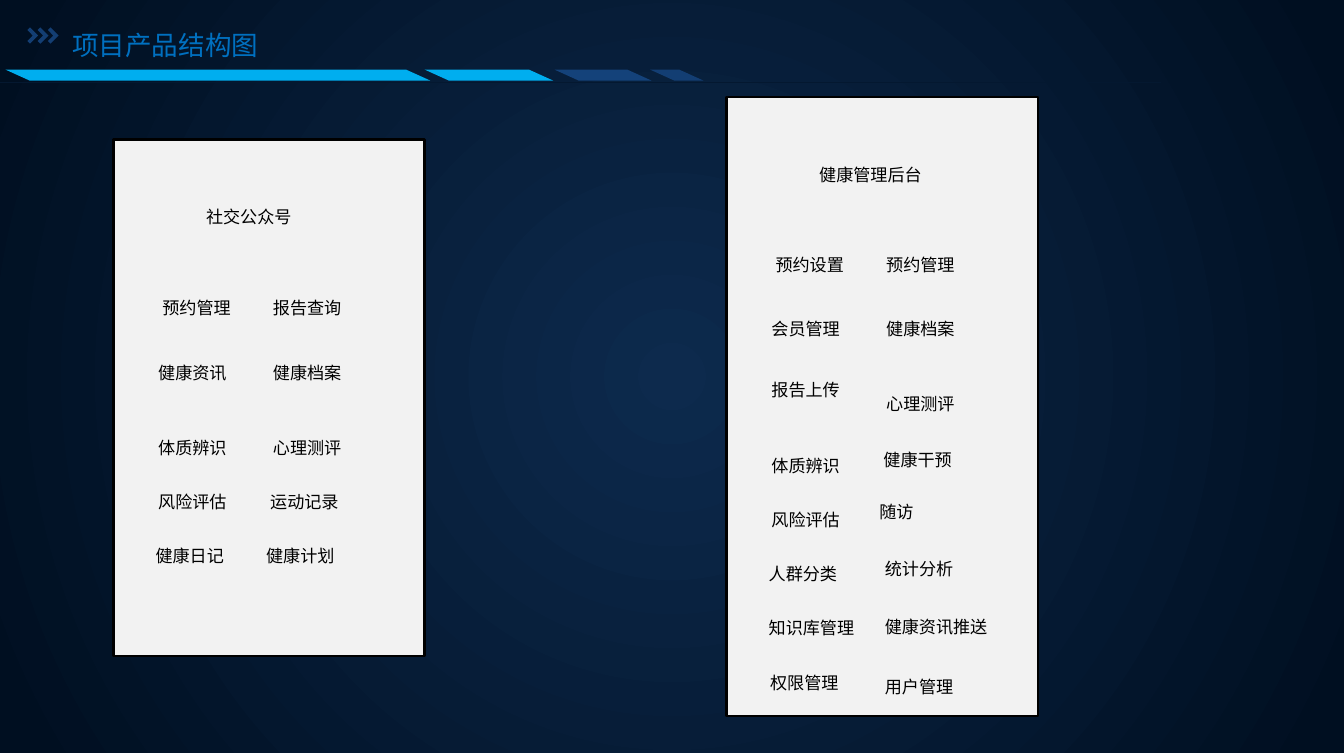
from lxml.etree import SubElement
from pptx import Presentation
from pptx.dml.color import RGBColor
from pptx.enum.shapes import MSO_CONNECTOR, MSO_SHAPE
from pptx.oxml.ns import qn
from pptx.util import Inches, Pt

RECT, SLANT = MSO_SHAPE.RECTANGLE, MSO_SHAPE.PARALLELOGRAM
LINE = MSO_CONNECTOR.STRAIGHT
CORE, EDGE = RGBColor(0x0D, 0x2A, 0x4D), RGBColor(0x00, 0x0F, 0x21)
CYAN, BLUE = RGBColor(0x00, 0xAE, 0xEF), RGBColor(0x00, 0x70, 0xC0)
NAVY, DARK = RGBColor(0x14, 0x42, 0x7A), RGBColor(0x13, 0x3E, 0x73)
RULE, GRAY = RGBColor(0x04, 0x18, 0x30), RGBColor(0xF2, 0xF2, 0xF2)
BLACK = RGBColor(0, 0, 0)

WIDE, HIGH = 9.84, 5.51
FONT = "Calibri"
TITLE = "项目产品结构图"
BARS = [(0.04, 3.11, CYAN), (3.11, 0.94, CYAN), (4.06, 0.71, NAVY), (4.76, 0.39, DARK)]
ARROW = [(0, 0.02), (0.02, 0), (0.08, 0.06), (0.02, 0.12), (0, 0.1), (0.04, 0.06)]
HEAD = (0.58, 0.44)
PANELS = [
    {"name": "社交公众号", "box": (0.83, 1.02, 2.28, 3.78), "items": [
        ("预约管理", 0.26, 1.11), ("报告查询", 1.07, 1.11),
        ("健康资讯", 0.23, 1.58), ("健康档案", 1.07, 1.58),
        ("体质辨识", 0.23, 2.13), ("心理测评", 1.07, 2.13),
        ("风险评估", 0.23, 2.53), ("运动记录", 1.05, 2.53),
        ("健康日记", 0.21, 2.92), ("健康计划", 1.02, 2.92)]},
    {"name": "健康管理后台", "box": (5.32, 0.71, 2.28, 4.53), "items": [
        ("预约设置", 0.26, 1.1), ("预约管理", 1.07, 1.1),
        ("会员管理", 0.23, 1.57), ("健康档案", 1.07, 1.57),
        ("报告上传", 0.23, 2.02), ("心理测评", 1.07, 2.12),
        ("体质辨识", 0.23, 2.57), ("健康干预", 1.05, 2.53),
        ("风险评估", 0.23, 2.97), ("随访", 1.02, 2.91),
        ("人群分类", 0.21, 3.36), ("统计分析", 1.06, 3.33),
        ("知识库管理", 0.21, 3.76), ("健康资讯推送", 1.06, 3.75),
        ("权限管理", 0.22, 4.16), ("用户管理", 1.06, 4.19)]},
]


def paint(shape, fill, edge=None):
    shape.shadow.inherit = False
    shape.fill.solid()
    shape.fill.fore_color.rgb = fill
    if edge is None:
        shape.line.fill.background()
    else:
        shape.line.color.rgb = edge
        shape.line.width = Pt(1.5)


def write(slide, text, box, size, color):
    frame = slide.shapes.add_textbox(*map(Inches, box)).text_frame
    frame.word_wrap = True
    frame.text = text
    font = frame.paragraphs[0].runs[0].font
    font.name, font.size, font.color.rgb = FONT, Pt(size), color


def backdrop(slide):
    fill = slide.background.fill
    fill.gradient()
    for stop, color, place in zip(fill.gradient_stops, (CORE, EDGE), (0, 0.97)):
        stop.color.rgb, stop.position = color, place
    grad = slide.element.find(".//" + qn("a:gradFill"))
    grad.remove(grad.find(qn("a:lin")))
    ring = SubElement(grad, qn("a:path"), path="circle")
    SubElement(ring, qn("a:fillToRect"), {side: "50000" for side in "ltrb"})


def header(slide):
    for left, width, color in BARS:
        bar = slide.shapes.add_shape(SLANT, *map(Inches, (left, 0.51, width, 0.08)))
        bar.adjustments[0] = 2.208
        bar.element.spPr.find(qn("a:xfrm")).set("flipV", "1")
        paint(bar, color)
    rule = slide.shapes.add_connector(LINE, *map(Inches, (0, 0.6, 8.5, 0.6)))
    rule.line.color.rgb, rule.line.width = RULE, Pt(0.5)
    SubElement(rule.element.spPr, qn("a:effectLst"))
    write(slide, TITLE, (0.43, 0.16, 1.97, 0.54), 14, BLUE)
    group = slide.shapes.add_group_shape()
    for step in range(3):
        dots = [(Inches(0.2 + 0.075 * step + x), Inches(0.2 + y)) for x, y in ARROW]
        pen = group.shapes.build_freeform(*dots[0])
        pen.add_line_segments(dots[1:], close=True)
        paint(pen.convert_to_shape(), DARK)


def panel(slide, name, box, items):
    paint(slide.shapes.add_shape(RECT, *map(Inches, box)), GRAY, BLACK)
    for text, x, y in [(name, *HEAD), *items]:
        width = 0.85 if len(text) < 6 else 1.04
        write(slide, text, (box[0] + x, box[1] + y, width, 0.25), 9, BLACK)


def main():
    """Build the product structure slide."""
    deck = Presentation()
    deck.slide_width, deck.slide_height = Inches(WIDE), Inches(HIGH)
    slide = deck.slides.add_slide(deck.slide_layouts[6])
    backdrop(slide)
    header(slide)
    for part in PANELS:
        panel(slide, **part)
    deck.save("out.pptx")


if __name__ == "__main__":
    main()
